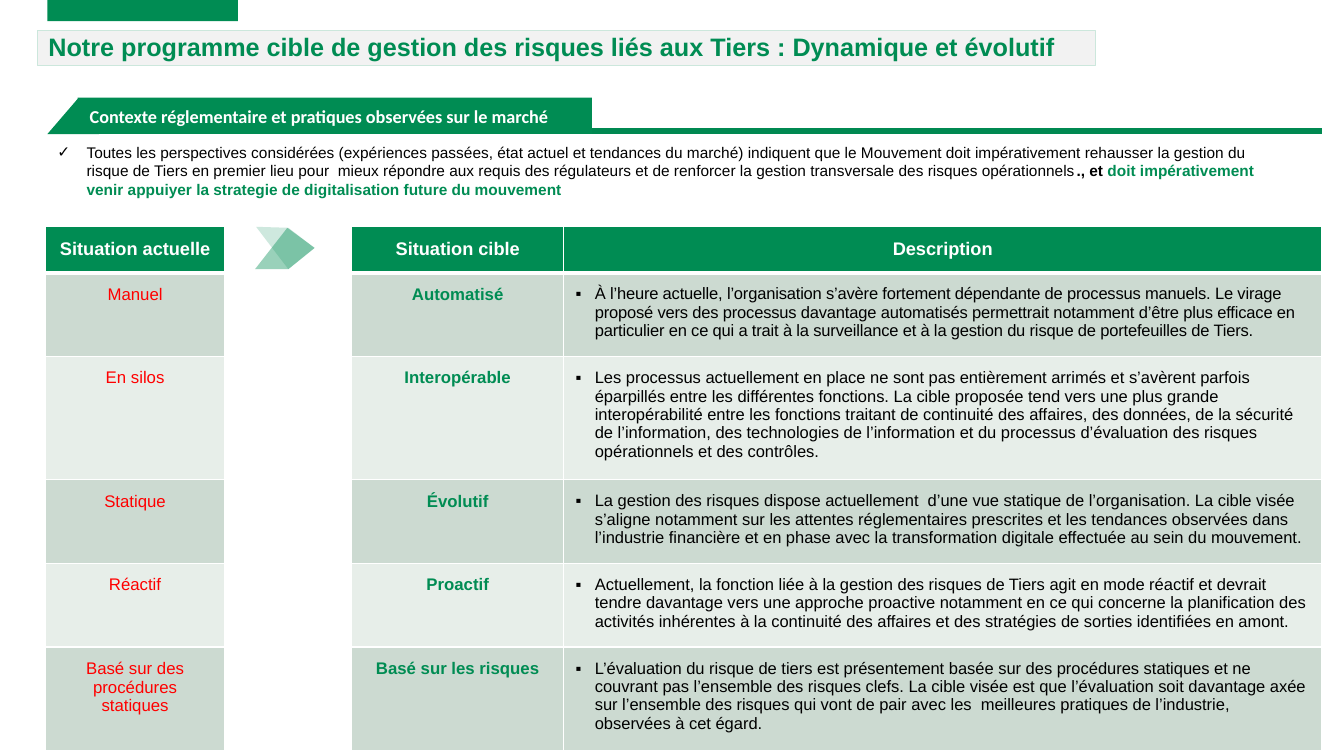
from lxml.etree import SubElement as Sub
from pptx import Presentation
from pptx.dml.color import RGBColor as Rgb
from pptx.enum.shapes import MSO_CONNECTOR as Conn, MSO_SHAPE as Kind
from pptx.enum.text import MSO_ANCHOR as Anchor, PP_ALIGN as Align
from pptx.oxml import parse_xml
from pptx.oxml.ns import nsdecls, qn
from pptx.util import Pt

PX = 9144  # 100 px to the inch

GREEN = Rgb(0x00, 0x8C, 0x53)
RULE = Rgb(0x00, 0x89, 0x51)
MINT = Rgb(0xAE, 0xD9, 0xC8)
EDGE = Rgb(0xCC, 0xE7, 0xDC)
GREY = Rgb(0xF2, 0xF2, 0xF2)
DARK = Rgb(0xCC, 0xDA, 0xD1)
PALE = Rgb(0xE7, 0xEE, 0xE9)
RED = Rgb(0xFF, 0x00, 0x00)
BLACK = Rgb(0x00, 0x00, 0x00)
WHITE = Rgb(0xFF, 0xFF, 0xFF)

INTRO = [
    ("Toutes les perspectives considérées (expériences passées, état actuel et tendances du marché) "
     "indiquent que le Mouvement doit impérativement rehausser la gestion du risque de Tiers en premier "
     "lieu pour  mieux répondre aux requis des régulateurs et de renforcer la gestion transversale des "
     "risques opérationnels", BLACK, False),
    ("., et ", BLACK, True),
    ("doit impérativement venir appuiyer la strategie de digitalisation future du mouvement", GREEN, True),
]
HEADS = ["Situation actuelle", "Situation cible", "Description"]
ROWS = [
    ("Manuel", "Automatisé",
     "À l’heure actuelle, l’organisation s’avère fortement dépendante de processus manuels. Le virage "
     "proposé vers des processus davantage automatisés permettrait notamment d’être plus efficace en "
     "particulier en ce qui a trait à la surveillance et à la gestion du risque de portefeuilles de Tiers."),
    ("En silos", "Interopérable",
     "Les processus actuellement en place ne sont pas entièrement arrimés et s’avèrent parfois éparpillés "
     "entre les différentes fonctions. La cible proposée tend vers une plus grande interopérabilité entre "
     "les fonctions traitant de continuité des affaires, des données, de la sécurité de l’information, des "
     "technologies de l’information et du processus d’évaluation des risques opérationnels et des contrôles."),
    ("Statique", "Évolutif",
     "La gestion des risques dispose actuellement  d’une vue statique de l’organisation. La cible visée "
     "s’aligne notamment sur les attentes réglementaires prescrites et les tendances observées dans "
     "l’industrie financière et en phase avec la transformation digitale effectuée au sein du mouvement."),
    ("Réactif", "Proactif",
     "Actuellement, la fonction liée à la gestion des risques de Tiers agit en mode réactif et devrait "
     "tendre davantage vers une approche proactive notamment en ce qui concerne la planification des "
     "activités inhérentes à la continuité des affaires et des stratégies de sorties identifiées en amont."),
    ("Basé sur des procédures statiques", "Basé sur les risques",
     "L’évaluation du risque de tiers est présentement basée sur des procédures statiques et ne couvrant "
     "pas l’ensemble des risques clefs. La cible visée est que l’évaluation soit davantage axée sur "
     "l’ensemble des risques qui vont de pair avec les  meilleures pratiques de l’industrie, observées à "
     "cet égard."),
]
COLS = [178, 126, 210, 752]
HIGHS = [45, 83, 121, 83, 83, 101]


class Page:
    def __init__(self, deck):
        self.slide = deck.slides.add_slide(deck.slide_layouts[5])
        self.shapes = self.slide.shapes

    def font(self, run, size, color, bold=False, name="Arial"):
        run.font.size, run.font.bold, run.font.name = Pt(size), bold, name
        run.font.color.rgb = color

    def inset(self, frame, left=0):
        frame.margin_left = left * PX
        frame.margin_top = frame.margin_right = frame.margin_bottom = 0

    def paint(self, shape, fill, line=None, alpha=None):
        shape.shadow.inherit = False
        shape.fill.solid()
        shape.fill.fore_color.rgb = fill
        if alpha:
            tone = shape.fill._xPr.find(qn("a:solidFill"))[0]
            Sub(tone, qn("a:alpha"), val=str(alpha * 1000))
        if line:
            shape.line.color.rgb, shape.line.width = line, Pt(0.5)
        else:
            shape.line.fill.background()

    def box(self, kind, at, fill, line=None):
        shape = self.shapes.add_shape(kind, *[n * PX for n in at])
        self.paint(shape, fill, line)
        return shape

    def free(self, points, fill, alpha):
        pen = self.shapes.build_freeform(*points[0], scale=PX)
        pen.add_line_segments(points[1:], close=True)
        self.paint(pen.convert_to_shape(), fill, alpha=alpha)

    def line(self, ends, color, width):
        rule = self.shapes.add_connector(Conn.STRAIGHT, *[n * PX for n in ends])
        rule.line.color.rgb, rule.line.width = color, Pt(width)
        Sub(rule._element.spPr, qn("a:effectLst"))

    def title(self, text, at):
        head = self.shapes.title
        head.left, head.top, head.width, head.height = [n * PX for n in at]
        frame = head.text_frame
        frame.text = text
        frame.vertical_anchor = Anchor.TOP
        self.inset(frame)
        para = frame.paragraphs[0]
        para.alignment, para.line_spacing = Align.LEFT, 0.9
        self.font(para.runs[0], 18, GREEN, True)

    def bullet(self, para, mark, gap):
        props = para._p.get_or_add_pPr()
        props.set("marL", str(gap * PX))
        props.set("indent", str(-gap * PX))
        Sub(props, qn("a:buFont"), typeface="Arial")
        Sub(props, qn("a:buChar"), char=mark)

    def note(self, parts, at):
        frame = self.shapes.add_textbox(*[n * PX for n in at]).text_frame
        frame.word_wrap = True
        para = frame.paragraphs[0]
        para.space_before = Pt(6)
        self.bullet(para, "✓", 29)
        for text, color, bold in parts:
            run = para.add_run()
            run.text = text
            self.font(run, 11, color, bold)

    def table(self, at, cols, highs):
        size = sum(cols), sum(highs)
        grid = self.shapes.add_table(len(highs), len(cols), *[n * PX for n in at + size]).table
        for col, wide in zip(grid.columns, cols):
            col.width = wide * PX
        for row, high in zip(grid.rows, highs):
            row.height = high * PX
        return grid

    def plain(self, cell, fill, top=1, base=1):
        cell.fill.solid()
        cell.fill.fore_color.rgb = fill
        props = cell._tc.get_or_add_tcPr()
        for spot, (side, width) in enumerate(zip("LRTB", (1, 1, top, base))):
            props.insert(spot, parse_xml(
                f'<a:ln{side} {nsdecls("a")} w="{Pt(width)}"><a:solidFill>'
                f'<a:srgbClr val="{WHITE}"/></a:solidFill></a:ln{side}>'))

    def cell(self, cell, text, size, color, bold=False):
        cell.margin_left = cell.margin_right = cell.margin_top = cell.margin_bottom = 12 * PX
        cell.text = text
        para = cell.text_frame.paragraphs[0]
        para.alignment = Align.CENTER
        self.font(para.runs[0], size, color, bold)
        return para


def main():
    deck = Presentation()
    deck.slide_width, deck.slide_height = 1333 * PX, 750 * PX
    page = Page(deck)

    # Title band, sent behind the title
    tab = page.box(Kind.RECTANGLE, (47, 0, 189, 21), GREEN)
    band = page.box(Kind.RECTANGLE, (37, 30, 1049, 35), GREY, EDGE)
    for shape in (tab, band):
        page.shapes.title._element.addprevious(shape._element)
    page.title("Notre programme cible de gestion des risques liés aux Tiers : Dynamique et évolutif",
               (48, 34, 1197, 34))

    # Section banner
    page.line((79, 130, 1311, 130), RULE, 4.5)
    page.box(Kind.ISOSCELES_TRIANGLE, (47, 98, 51, 35), GREEN).adjustments[0] = 0.59
    frame = page.box(Kind.RECTANGLE, (77, 97, 510, 36), GREEN).text_frame
    frame.text = "Contexte réglementaire et pratiques observées sur le marché"
    frame.vertical_anchor = Anchor.MIDDLE
    page.inset(frame, 12)
    frame.paragraphs[0].alignment = Align.LEFT
    page.font(frame.paragraphs[0].runs[0], 13, WHITE, True, "Calibri")
    page.note(INTRO, (47, 137, 1238, 66))

    # Comparison table
    grid = page.table((45, 225), COLS, HIGHS)
    for r in range(len(HIGHS)):
        fill = GREEN if r == 0 else DARK if r % 2 else PALE
        for c in range(len(COLS)):
            page.plain(grid.cell(r, c), WHITE if c == 1 else fill,
                       3 if r == 1 else 1, 3 if r == 0 else 1)
    grid.cell(0, 1).merge(grid.cell(len(ROWS), 1))
    for c, text in zip((0, 2, 3), HEADS):
        page.cell(grid.cell(0, c), text, 13, WHITE, True)
    for r, (now, goal, about) in enumerate(ROWS, 1):
        page.cell(grid.cell(r, 0), now, 12, RED)
        page.cell(grid.cell(r, 2), goal, 12, GREEN, True)
        para = page.cell(grid.cell(r, 3), about, 11.8, BLACK)
        para.alignment = Align.LEFT
        page.bullet(para, "▪", 19)
        if r == 1:
            para.runs[0].font._element.set("spc", "-10")

    # Double arrow
    page.free([(254, 225), (286, 267), (312, 246), (286, 226)], MINT, 60)
    page.free([(253, 267), (285, 226), (312, 246), (286, 267)], GREEN, 40)
    deck.save("out.pptx")


if __name__ == "__main__":
    main()
